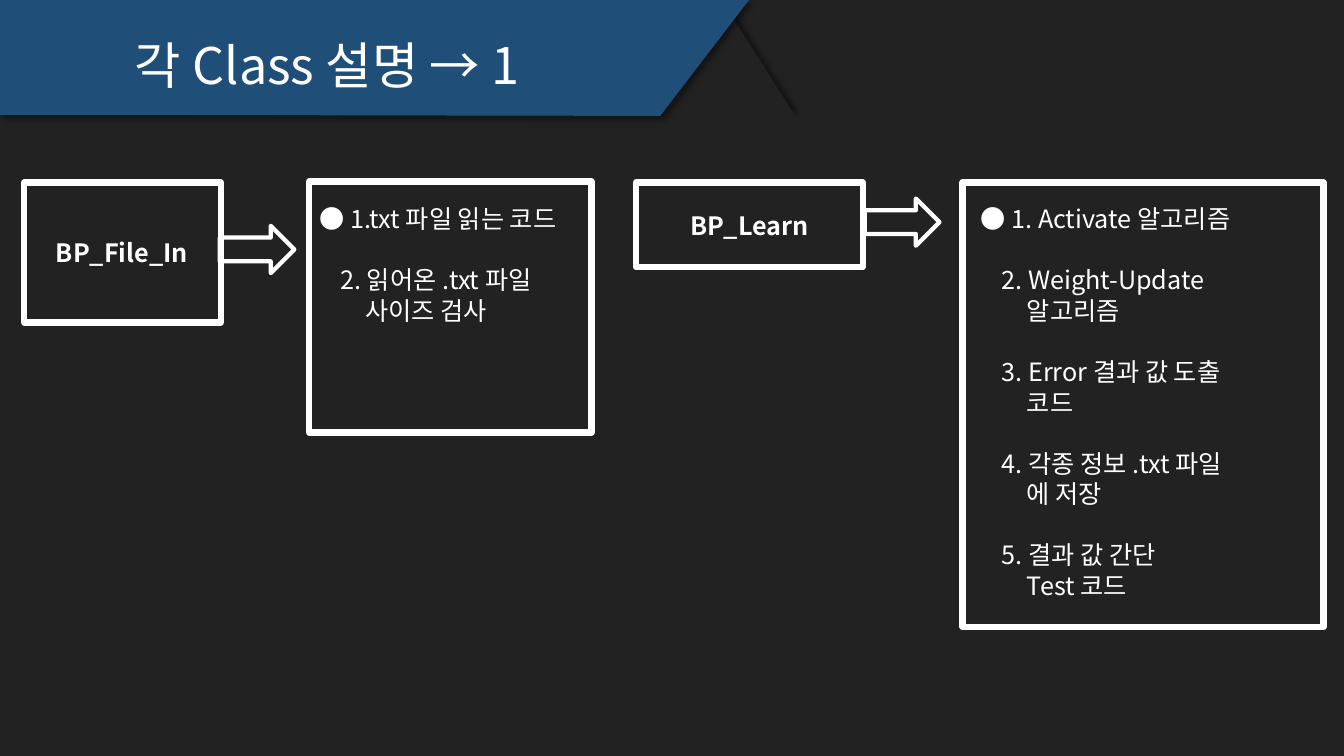
import pptx
import pptx.dml.color
import pptx.enum.shapes
import pptx.enum.text
import pptx.oxml
import pptx.oxml.ns
import pptx.util

# Content
TITLE = "각 Class 설명 → 1"
FONT = "Noto Sans CJK KR"
WHITE, BACKGROUND, BLUE = "FFFFFF", "222222", "1F4E79"

# Boxes are left, top, width, height in points
CLASSES = [
    {
        "name": "BP_File_In",
        "name_frame": (17.3, 130.3, 140.4, 100.1),
        "name_text": (20.2, 165.6, 133.9, 28.8),
        "arrow": (157, 161.3),
        "notes_frame": (221, 129.6, 201.6, 179.3),
        "notes_text": (221, 141.8, 221, 116.6),
        "notes": ["● 1.txt 파일 읽는 코드", "2. 읽어온 .txt 파일\v사이즈 검사"],
    },
    {
        "name": "BP_Learn",
        "name_frame": (454.3, 130.3, 162, 60.5),
        "name_text": (457.9, 146.2, 154.8, 28.8),
        "arrow": (617.8, 141.8),
        "notes_frame": (687.6, 130.3, 257.8, 317.5),
        "notes_text": (693.4, 141.8, 221, 290.9),
        "notes": [
            "● 1. Activate 알고리즘",
            "2. Weight-Update\v알고리즘",
            "3. Error 결과 값 도출\v코드",
            "4. 각종 정보 .txt 파일\v에 저장",
            "5. 결과 값 간단\vTest 코드",
        ],
    },
]
BANNER = [(0, 0), (535, 0), (471.6, 82.8), (111.6, 82.1), (0, 82.1)]
FOLD = (473, 7.9, 95, 74.9)
ARROW_SIZE = (53.3, 33.8)
NOTE_LINE = 21.8
NOTE_MARGIN, NOTE_HANG = 33, 18

Pt = pptx.util.Pt
SHAPES = pptx.enum.shapes.MSO_SHAPE
ALIGN = pptx.enum.text.PP_ALIGN


def color(hex_code):
    return pptx.dml.color.RGBColor.from_string(hex_code)


def paint(shape, fill=None, line_width=None):
    shape.shadow.inherit = False
    if fill:
        shape.fill.solid()
        shape.fill.fore_color.rgb = color(fill)
    else:
        shape.fill.background()
    if line_width:
        shape.line.color.rgb = color(WHITE)
        shape.line.width = Pt(line_width)
    else:
        shape.line.fill.background()


def add_outline(page, kind, box, line_width):
    shape = page.shapes.add_shape(kind, *map(Pt, box))
    paint(shape, line_width=line_width)


def cast_shadow(shape, angle):
    effects = shape._element.spPr.find(pptx.oxml.ns.qn("a:effectLst"))
    effects.append(pptx.oxml.parse_xml(
        f'<a:outerShdw {pptx.oxml.ns.nsdecls("a")} blurRad="{Pt(4)}" dist="{Pt(3)}" '
        f'dir="{angle * 60000}" algn="tl" rotWithShape="0">'
        '<a:srgbClr val="000000"><a:alpha val="40000"/></a:srgbClr></a:outerShdw>'
    ))


def add_text(page, box, lines, size, line_height, bold=False, align=ALIGN.LEFT):
    frame = page.shapes.add_textbox(*map(Pt, box)).text_frame
    frame.word_wrap = True
    frame.text = "\n".join(lines)
    for para in frame.paragraphs:
        para.alignment = align
        para.line_spacing = Pt(line_height)
        for span in para.runs:
            span.font.size = Pt(size)
            span.font.name = FONT
            span.font.bold = bold
            span.font.color.rgb = color(WHITE)
            east_asian = pptx.oxml.parse_xml(
                f'<a:ea {pptx.oxml.ns.nsdecls("a")} typeface="{FONT}"/>')
            span.font._element.append(east_asian)
    return frame


def add_notes(page, box, notes):
    frame = add_text(page, box, notes, 18, NOTE_LINE)
    for para in frame.paragraphs[1:]:
        para.space_before = Pt(NOTE_LINE)
        properties = para._p.get_or_add_pPr()
        properties.set("marL", str(Pt(NOTE_MARGIN)))
        properties.set("indent", str(-Pt(NOTE_HANG)))


def main():
    deck = pptx.Presentation()
    deck.slide_width, deck.slide_height = Pt(960), Pt(540)
    page = deck.slides.add_slide(deck.slide_layouts[6])
    page.background.fill.solid()
    page.background.fill.fore_color.rgb = color(BACKGROUND)

    # Title banner with its folded edge
    fold = page.shapes.add_shape(SHAPES.ISOSCELES_TRIANGLE, *map(Pt, FOLD))
    paint(fold, BACKGROUND)
    cast_shadow(fold, 315)
    corners = [(Pt(x), Pt(y)) for x, y in BANNER]
    builder = page.shapes.build_freeform(*corners[0], scale=1.0)
    builder.add_line_segments(corners[1:], close=True)
    banner = builder.convert_to_shape()
    paint(banner, BLUE)
    cast_shadow(banner, 45)
    add_text(page, (89.3, 20.2, 378, 51.1), [TITLE], 36, 44)

    # Each class: name, arrow, notes
    for item in CLASSES:
        add_outline(page, SHAPES.RECTANGLE, item["name_frame"], 4.5)
        add_text(page, item["name_text"], [item["name"]], 18, NOTE_LINE, True, ALIGN.CENTER)
        add_outline(page, SHAPES.RIGHT_ARROW, item["arrow"] + ARROW_SIZE, 3)
        add_outline(page, SHAPES.RECTANGLE, item["notes_frame"], 4.5)
        add_notes(page, item["notes_text"], item["notes"])

    deck.save("out.pptx")


if __name__ == "__main__":
    main()
